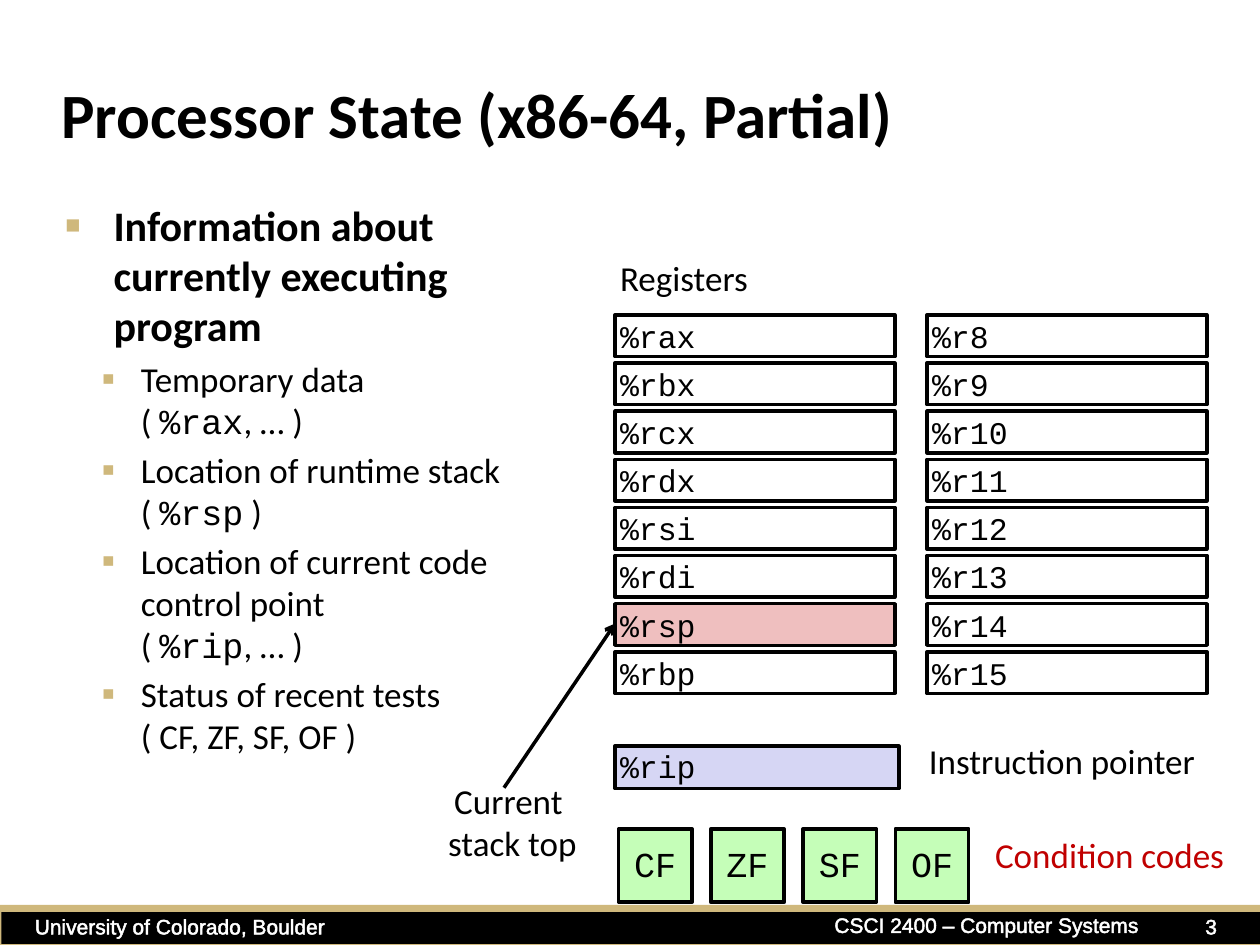
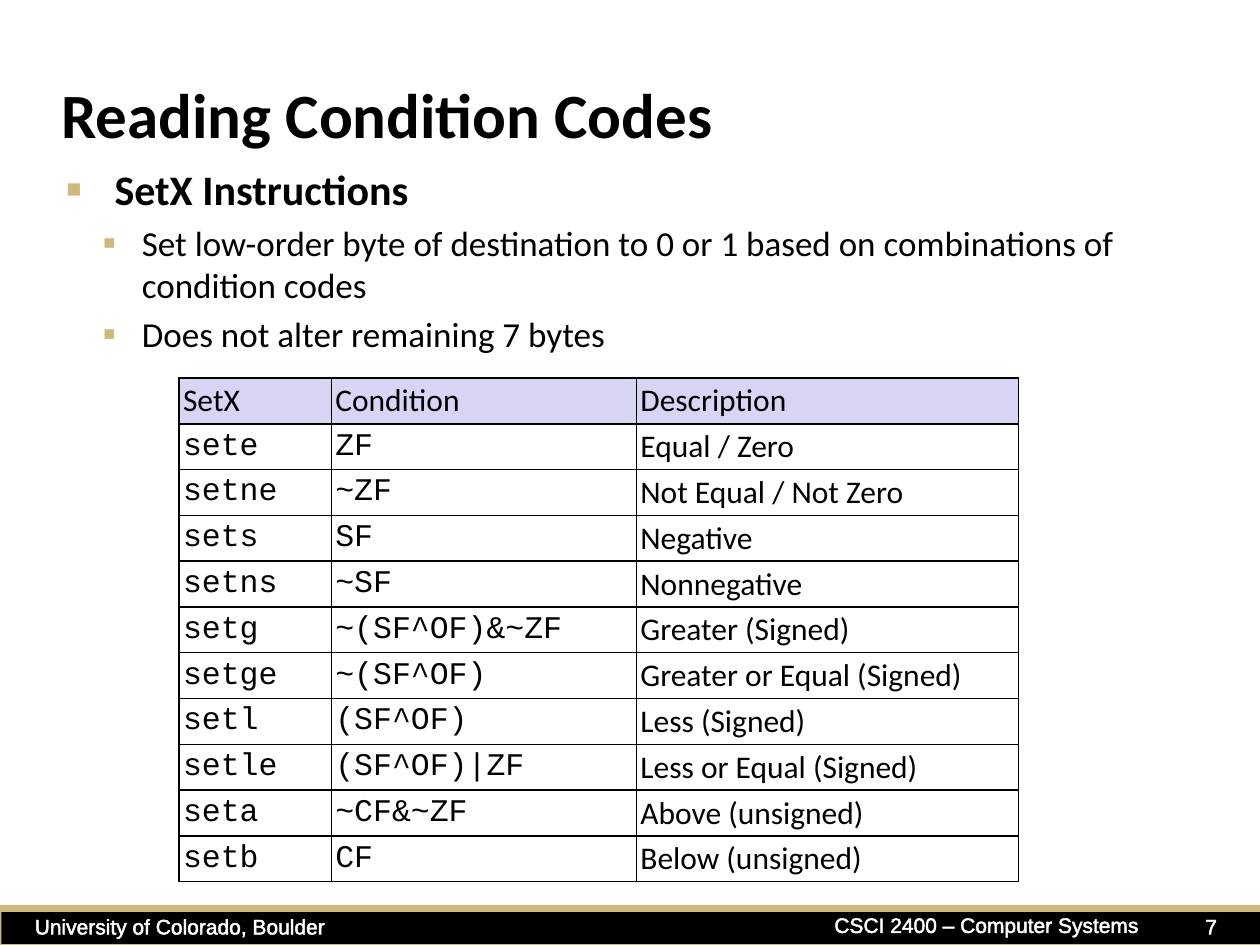
from lxml import etree
from pptx import Presentation
from pptx import util as u
from pptx.dml import color as dml
from pptx.enum import shapes, text
from pptx.oxml import ns

# Shared look
SANS, MONO, FOOTER_FONT = "Calibri", "Courier New", "Arial"
BLACK, WHITE, GOLD, RED = "000000", "FFFFFF", "CFB87C", "C00000"
LAVENDER, PINK, GREEN = "D6D6F4", "EFBFBF", "C5FEB8"
LEFT, CENTER = text.PP_ALIGN.LEFT, text.PP_ALIGN.CENTER
TIGHT = 0.1  # inner margin of boxes and labels, cm

# Bullet levels: left indent, hanging indent (cm), character, size %, text size, bold
BULLETS = [(0.97, 0.97, "■", 60, 24, True), (1.52, 0.79, "▪", 110, 20, False)]

LEFT_REGISTERS = ["%rax", "%rbx", "%rcx", "%rdx", "%rsi", "%rdi", "%rsp", "%rbp"]
RIGHT_REGISTERS = [f"%r{number}" for number in range(8, 16)]
FLAGS = ["CF", "ZF", "SF", "OF"]

STATE_POINTS = [
    (0, "Information about currently executing program"),
    (1, "Temporary data\n( `%rax`, … )"),
    (1, "Location of runtime stack\n( `%rsp` )"),
    (1, "Location of current code control point\n( `%rip`, … )"),
    (1, "Status of recent tests\n( CF, ZF, SF, OF )"),
]
SETX_POINTS = [
    (0, "SetX Instructions"),
    (1, "Set low-order byte of destination to 0 or 1 based on "
        "combinations of condition codes"),
    (1, "Does not alter remaining 7 bytes"),
]
SETX_ROWS = [
    ("SetX", "Condition", "Description"),
    ("sete", "ZF", "Equal / Zero"),
    ("setne", "~ZF", "Not Equal / Not Zero"),
    ("sets", "SF", "Negative"),
    ("setns", "~SF", "Nonnegative"),
    ("setg", "~(SF^OF)&~ZF", "Greater (Signed)"),
    ("setge", "~(SF^OF)", "Greater or Equal (Signed)"),
    ("setl", "(SF^OF)", "Less (Signed)"),
    ("setle", "(SF^OF)|ZF", "Less or Equal (Signed)"),
    ("seta", "~CF&~ZF", "Above (unsigned)"),
    ("setb", "CF", "Below (unsigned)"),
]


# Helpers
def rgb(value):
    return dml.RGBColor.from_string(value)


def cm(*lengths):
    return [u.Cm(length) for length in lengths]


def add_xml(parent, tag, position=None, **attributes):
    element = etree.Element(ns.qn(tag), attributes)
    parent.insert(len(parent) if position is None else position, element)
    return element


def add_solid_fill(parent, color):
    add_xml(add_xml(parent, "a:solidFill"), "a:srgbClr", val=color)


def write(paragraph, content, size=20, font=SANS, color=BLACK, bold=False,
          align=LEFT, spacing=None, outline=False):
    """Write text; \\n breaks the line and `backticks` mark code."""
    paragraph.alignment = align
    if spacing:
        paragraph.line_spacing = spacing
    for line_number, line in enumerate(content.split("\n")):
        if line_number:
            paragraph.add_line_break()
        for part_number, part in enumerate(line.split("`")):
            if not part:
                continue
            run = paragraph.add_run()
            run.text = part
            run.font.name = MONO if part_number % 2 else font
            run.font.size = u.Pt(size)
            run.font.bold = bold
            run.font.color.rgb = rgb(color)
            if outline:
                line_xml = add_xml(run.font._element, "a:ln", 0, w=str(u.Pt(0.75)))
                add_solid_fill(line_xml, color)


def set_margins(target, margin):
    target.margin_left = target.margin_right = u.Cm(margin)
    target.margin_top = target.margin_bottom = u.Cm(margin)


# Elements
def add_text(slide, content, place, margin=None, wrap=True,
             anchor=text.MSO_ANCHOR.TOP, **style):
    frame = slide.shapes.add_textbox(*cm(*place)).text_frame
    frame.word_wrap = wrap
    frame.vertical_anchor = anchor
    if margin is not None:
        set_margins(frame, margin)
    write(frame.paragraphs[0], content, **style)


def add_label(slide, content, place, wrap=False, **style):
    add_text(slide, content, place, margin=TIGHT, wrap=wrap, **style)


def add_box(slide, place, fill=None, line=None, content="", **style):
    shape = slide.shapes.add_shape(shapes.MSO_SHAPE.RECTANGLE, *cm(*place))
    shape.shadow.inherit = False
    if fill:
        shape.fill.solid()
        shape.fill.fore_color.rgb = rgb(fill)
    else:
        shape.fill.background()
    if line:
        shape.line.color.rgb = rgb(line)
        shape.line.width = u.Pt(2)
    else:
        shape.line.fill.background()
    if content:
        frame = shape.text_frame
        set_margins(frame, TIGHT)
        frame.vertical_anchor = text.MSO_ANCHOR.MIDDLE
        write(frame.paragraphs[0], content, font=MONO, **style)


def add_arrow(slide, start, end):
    arrow = slide.shapes.add_connector(shapes.MSO_CONNECTOR.STRAIGHT,
                                       *cm(*start, *end))
    arrow.line.color.rgb = rgb(BLACK)
    arrow.line.width = u.Pt(2)
    add_xml(arrow.line._get_or_add_ln(), "a:tailEnd", type="arrow")
    add_xml(arrow._element.spPr, "a:effectLst")


def add_bullets(slide, points, place):
    frame = slide.shapes.add_textbox(*cm(*place)).text_frame
    frame.word_wrap = True
    for number, (level, content) in enumerate(points):
        paragraph = frame.add_paragraph() if number else frame.paragraphs[0]
        left, hanging, character, scale, size, bold = BULLETS[level]
        write(paragraph, content, size=size, bold=bold)
        paragraph.level = level
        paragraph.space_before = u.Pt(size * 0.2)
        properties = paragraph._p.get_or_add_pPr()
        properties.set("marL", str(u.Cm(left)))
        properties.set("indent", str(-u.Cm(hanging)))
        add_xml(add_xml(properties, "a:buClr"), "a:srgbClr", val=GOLD)
        add_xml(properties, "a:buSzPct", val=str(scale * 1000))
        add_xml(properties, "a:buFont", typeface=FOOTER_FONT)
        add_xml(properties, "a:buChar", char=character)


def add_cell_borders(cell):
    properties = cell._tc.get_or_add_tcPr()
    for position, side in enumerate(("a:lnL", "a:lnR", "a:lnT", "a:lnB")):
        add_solid_fill(add_xml(properties, side, position, w=str(u.Pt(1))), BLACK)


def add_grid(slide, rows, left, top, widths, row_height):
    place = cm(left, top, sum(widths), row_height * len(rows))
    table = slide.shapes.add_table(len(rows), len(widths), *place).table
    table.first_row = table.horz_banding = False
    for column, width in zip(table.columns, widths):
        column.width = u.Cm(width)
    for row_number, values in enumerate(rows):
        table.rows[row_number].height = u.Cm(row_height)
        for column_number, value in enumerate(values):
            cell = table.cell(row_number, column_number)
            is_header = row_number == 0
            set_margins(cell, 0.08)
            cell.vertical_anchor = text.MSO_ANCHOR.MIDDLE
            if is_header:
                cell.fill.solid()
                cell.fill.fore_color.rgb = rgb(LAVENDER)
            else:
                cell.fill.background()
            is_code = not is_header and column_number < 2
            write(cell.text_frame.paragraphs[0], value, size=18,
                  font=MONO if is_code else SANS)
            add_cell_borders(cell)


def add_slide(presentation, title, number):
    """Blank slide with the footer bands, footer texts and title."""
    slide = presentation.slides.add_slide(presentation.slide_layouts[6])
    add_box(slide, (0, 18.24, 25.4, 0.81), fill=GOLD)
    add_box(slide, (0.03, 18.39, 25.4, 0.64), fill=BLACK)
    footers = [
        ("University of Colorado, Boulder", (0.43, 18.29, 6.4, 0.77), False),
        ("CSCI 2400 – Computer Systems", (16.51, 18.26, 6.76, 0.77), True),
        (str(number), (23.83, 18.29, 1.17, 0.77), True),
    ]
    for content, place, wrap in footers:
        add_text(slide, content, place, wrap=wrap, size=12, font=FOOTER_FONT,
                 color=WHITE, align=CENTER, outline=True)
    add_text(slide, title, (0.99, 1.22, 21.08, 2.11), size=36, bold=True,
             anchor=text.MSO_ANCHOR.MIDDLE)
    return slide


# Slides
def build_processor_state(presentation):
    slide = add_slide(presentation, "Processor State (x86-64, Partial)", 3)
    add_bullets(slide, STATE_POINTS, (1.07, 3.89, 9.27, 15.09))

    # Registers in two columns
    add_label(slide, "Registers", (12.4, 5.08, 2.84, 1.07))
    for left, names in ((12.4, LEFT_REGISTERS), (18.69, RIGHT_REGISTERS)):
        for row, name in enumerate(names):
            add_box(slide, (left, 6.35 + row * 0.97, 5.64, 0.84), line=BLACK,
                    fill=PINK if name == "%rsp" else None, content=name, size=18)

    # Instruction pointer
    add_box(slide, (12.4, 15.04, 5.72, 0.86), fill=LAVENDER, line=BLACK,
            content="%rip", size=18, spacing=0.95)
    add_label(slide, "Instruction pointer", (18.54, 14.81, 5.74, 1.07), align=CENTER)

    # Condition codes
    for column, flag in enumerate(FLAGS):
        add_box(slide, (12.47 + column * 1.86, 16.71, 1.48, 1.48), fill=GREEN,
                line=BLACK, content=flag, align=CENTER, spacing=0.95)
    add_label(slide, "Condition codes", (19.96, 16.71, 5, 1.24), wrap=True, color=RED)

    # Stack top
    add_label(slide, "Current \nstack top", (8.92, 15.62, 2.82, 1.93), align=CENTER)
    add_arrow(slide, (10.16, 15.88), (12.4, 12.57))


def build_condition_codes(presentation):
    slide = add_slide(presentation, "Reading Condition Codes", 7)
    add_bullets(slide, SETX_POINTS, (1.09, 3.18, 21.95, 13.82))
    add_grid(slide, SETX_ROWS, left=3.61, top=7.62, widths=(3.07, 6.15, 7.7),
             row_height=0.9)


def main():
    presentation = Presentation()
    presentation.slide_width, presentation.slide_height = cm(25.4, 19.05)
    build_processor_state(presentation)
    build_condition_codes(presentation)
    presentation.save("out.pptx")


if __name__ == "__main__":
    main()
